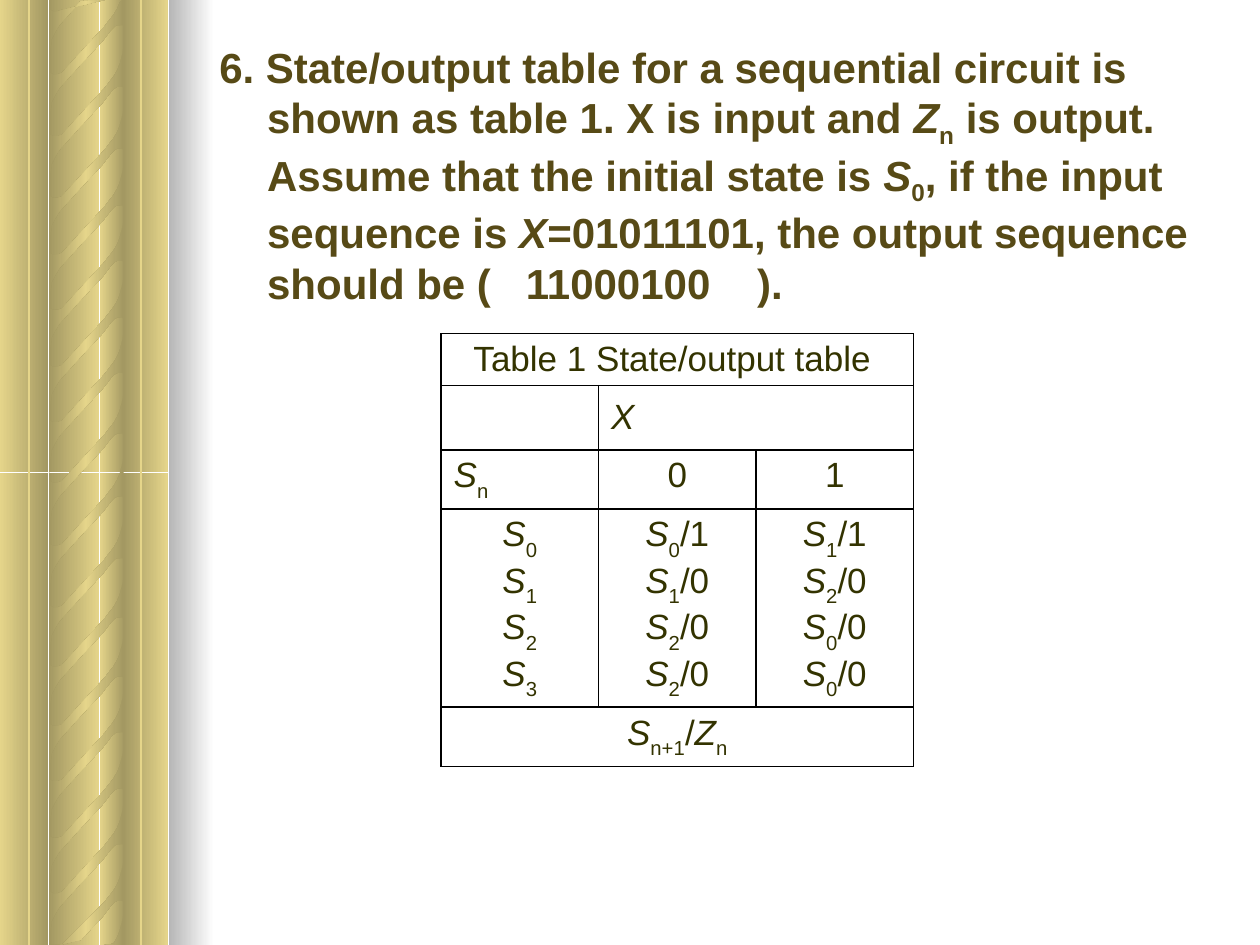
from dataclasses import dataclass

from lxml.etree import SubElement
from pptx import Presentation
from pptx.dml.color import RGBColor
from pptx.enum.shapes import MSO_CONNECTOR, MSO_SHAPE
from pptx.enum.text import MSO_ANCHOR, MSO_AUTO_SIZE, PP_ALIGN
from pptx.oxml import parse_xml
from pptx.oxml.ns import nsdecls, qn
from pptx.util import Inches, Pt


@dataclass(frozen=True)
class Theme:
    font: str = "Arial"
    gold: str = "E5D58A"
    white: str = "FFFFFF"
    question: str = "574A16"
    table: str = "333300"
    border: str = "000000"
    shade: int = 46275
    question_size: int = 24
    table_size: int = 20


THEME = Theme()
SLIDE_WIDTH, SLIDE_HEIGHT = 10, 7.5

# Stops: colour and whether it is shaded
LIGHT_TO_DARK = [(THEME.gold, False), (THEME.gold, True)]
DARK_TO_LIGHT = LIGHT_TO_DARK[::-1]
RIBBON_STOPS = [(THEME.gold, True), (THEME.gold, False), (THEME.gold, True)]
SHADOW_STOPS = [(THEME.white, True), (THEME.white, False)]

COLUMNS = [(0, 0.38, LIGHT_TO_DARK), (0.39, 0.4, DARK_TO_LIGHT),
           (0.79, 0.2, LIGHT_TO_DARK), (0.98, 0.35, DARK_TO_LIGHT)]
RIBBON_TOPS = [-0.62, -0.12, 0.37, 0.86, 1.31, 1.75, 2.2, 2.64, 3.12, 3.62,
               4.11, 4.58, 5.05, 5.49, 5.94, 6.38, 6.83, 7.25]
RIBBON_OUTLINE = [
    (0.59, 0), (0.59, 0.33), (0.58, 0.32), (0.54, 0.32), (0.52, 0.33), (0.49, 0.36),
    (0.42, 0.45), (0.25, 0.63), (0.08, 0.82), (0.05, 0.87), (0.02, 0.93), (0.01, 1.01),
    (0, 1.12), (0, 0.63), (0, 0.68), (0.01, 0.7), (0.03, 0.71), (0.07, 0.71),
    (0.1, 0.7), (0.44, 0.33), (0.51, 0.24), (0.54, 0.19), (0.56, 0.14), (0.58, 0.06)]

# Text marks: "|" splits runs, "*" starts italic and "_" starts subscript
QUESTION = ("6. State/output table for a sequential circuit is shown as table 1. "
            "X is input and |*Z|_n| is output. Assume that the initial state is |*S|_0|"
            ", if the input sequence is |*X|=01011101, the output sequence should be "
            "(   11000100    ). ")
ROW_HEIGHTS = [0.36, 0.51, 0.39, 1.04, 0.36]
TABLE_ROWS = [
    [["Table 1 State/output table "]],
    [[], ["*X"]],
    [["*S|_n"], ["0"], ["1"]],
    [["*S|_0", "*S|_1", "*S|_2", "*S|_3"],
     ["*S|_0|/1", "*S|_1|/0", "*S|_2|/0", "*S|_2|/0"],
     ["*S|_1|/1", "*S|_2|/0", "*S|_0|/0", "*S|_0|/0"]],
    [["*S|_n+1|/|*Z|_n"]],
]
MERGES = [((0, 0), (0, 2)), ((1, 1), (1, 2)), ((4, 0), (4, 2))]
LEFT_CELLS = {(1, 1), (2, 0)}


def paint(shape, stops):
    """Fill a shape with a left-to-right gradient and no outline."""
    marks = ""
    for index, (color, shaded) in enumerate(stops):
        position = index * 100000 // (len(stops) - 1)
        shade = f'<a:shade val="{THEME.shade}"/>' if shaded else ""
        marks += f'<a:gs pos="{position}"><a:srgbClr val="{color}">{shade}</a:srgbClr></a:gs>'
    gradient = parse_xml(f'<a:gradFill {nsdecls("a")} rotWithShape="1"><a:gsLst>{marks}'
                         '</a:gsLst><a:lin ang="0" scaled="1"/></a:gradFill>')
    shape.fill.background()
    properties = shape.element.spPr
    properties.replace(properties.find(qn("a:noFill")), gradient)
    shape.line.fill.background()
    shape.shadow.inherit = False


def write(paragraph, marked_text, size, color, subscript, bold=False):
    font = paragraph.font
    font.name, font.size, font.bold = THEME.font, Pt(size), bold
    font.color.rgb = RGBColor.from_string(color)
    for part in marked_text.split("|"):
        run = paragraph.add_run()
        run.text = part.lstrip("*_")
        if part.startswith("*"):
            run.font.italic = True
        elif part.startswith("_"):
            run._r.get_or_add_rPr().set("baseline", str(subscript * 1000))


def add_pillar(slide, left, top, height):
    shapes = slide.shapes

    def add_band(x, y, width, band_height, stops):
        band = shapes.add_shape(MSO_SHAPE.RECTANGLE, Inches(left + x), Inches(y),
                                Inches(width), Inches(band_height))
        paint(band, stops)

    # Columns, in an upper and a lower half
    for half in range(2):
        for x, width, stops in COLUMNS:
            add_band(x, top + half * height / 2, width, height / 2, stops)

    # Twisted ribbons, kept within the pillar
    for ribbon_top in RIBBON_TOPS:
        points = [(Inches(left + 0.39 + x),
                   Inches(top + min(max(ribbon_top + y, 0), height)))
                  for x, y in RIBBON_OUTLINE]
        builder = shapes.build_freeform(*points[0])
        builder.add_line_segments(points[1:], close=True)
        paint(builder.convert_to_shape(), RIBBON_STOPS)

    # Shadow and highlight lines
    add_band(1.34, top, 0.36, height, SHADOW_STOPS)
    for x in (0.23, 1.12):
        line = shapes.add_connector(MSO_CONNECTOR.STRAIGHT, Inches(left + x), Inches(top),
                                    Inches(left + x), Inches(top + height))
        line.line.color.rgb = RGBColor.from_string(THEME.gold)
        line.line.width = Pt(1)
        SubElement(line.element.spPr, qn("a:effectLst"))


def add_question(slide, left, top, width, height):
    slide.shapes.title.element.getparent().remove(slide.shapes.title.element)
    body = slide.placeholders[1]
    body.left, body.top = Inches(left), Inches(top)
    body.width, body.height = Inches(width), Inches(height)
    frame = body.text_frame
    frame.word_wrap, frame.auto_size = True, MSO_AUTO_SIZE.NONE
    frame.vertical_anchor = MSO_ANCHOR.TOP
    paragraph = frame.paragraphs[0]
    write(paragraph, QUESTION, THEME.question_size, THEME.question, -25, bold=True)
    # Hanging indent without a bullet
    properties = paragraph._p.get_or_add_pPr()
    properties.set("marL", str(Inches(0.38)))
    properties.set("indent", str(Inches(-0.38)))
    properties.insert(0, parse_xml(f'<a:buNone {nsdecls("a")}/>'))
    # Bring the text in front of the pillar
    body.element.getparent().append(body.element)


def add_borders(cell, row, column):
    outer = {"lnL": column == 0, "lnR": column == 2,
             "lnT": row == 0, "lnB": row == len(ROW_HEIGHTS) - 1}
    for index, (side, is_outer) in enumerate(outer.items()):
        width = Pt(0.75 if is_outer else 1)
        cell._tc.get_or_add_tcPr().insert(index, parse_xml(
            f'<a:{side} {nsdecls("a")} w="{width}"><a:solidFill>'
            f'<a:srgbClr val="{THEME.border}"/></a:solidFill></a:{side}>'))


def add_state_table(slide, left, top, width):
    frame = slide.shapes.add_table(len(ROW_HEIGHTS), 3, Inches(left), Inches(top),
                                   Inches(width), Inches(sum(ROW_HEIGHTS)))
    table = frame.table
    table.first_row = table.horz_banding = False
    for column in table.columns:
        column.width = Inches(width / 3)
    for row, height in zip(table.rows, ROW_HEIGHTS):
        row.height = Inches(height)

    for row in range(len(ROW_HEIGHTS)):
        for column in range(3):
            cell = table.cell(row, column)
            cell.fill.background()
            add_borders(cell, row, column)
    for first, last in MERGES:
        table.cell(*first).merge(table.cell(*last))

    for row, cells in enumerate(TABLE_ROWS):
        for column, lines in enumerate(cells):
            cell = table.cell(row, column)
            is_left = (row, column) in LEFT_CELLS
            cell.vertical_anchor = MSO_ANCHOR.MIDDLE if is_left else MSO_ANCHOR.TOP
            for index, line in enumerate(lines):
                frame = cell.text_frame
                paragraph = frame.add_paragraph() if index else frame.paragraphs[0]
                paragraph.alignment = PP_ALIGN.LEFT if is_left else PP_ALIGN.CENTER
                write(paragraph, line, THEME.table_size, THEME.table, -30)


presentation = Presentation()
presentation.slide_width = Inches(SLIDE_WIDTH)
presentation.slide_height = Inches(SLIDE_HEIGHT)
slide = presentation.slides.add_slide(presentation.slide_layouts[1])
add_pillar(slide, 0, 0, SLIDE_HEIGHT)
add_question(slide, 1.64, 0.28, 8.19, 2.52)
add_state_table(slide, 3.5, 2.65, 3.75)
presentation.save("out.pptx")
